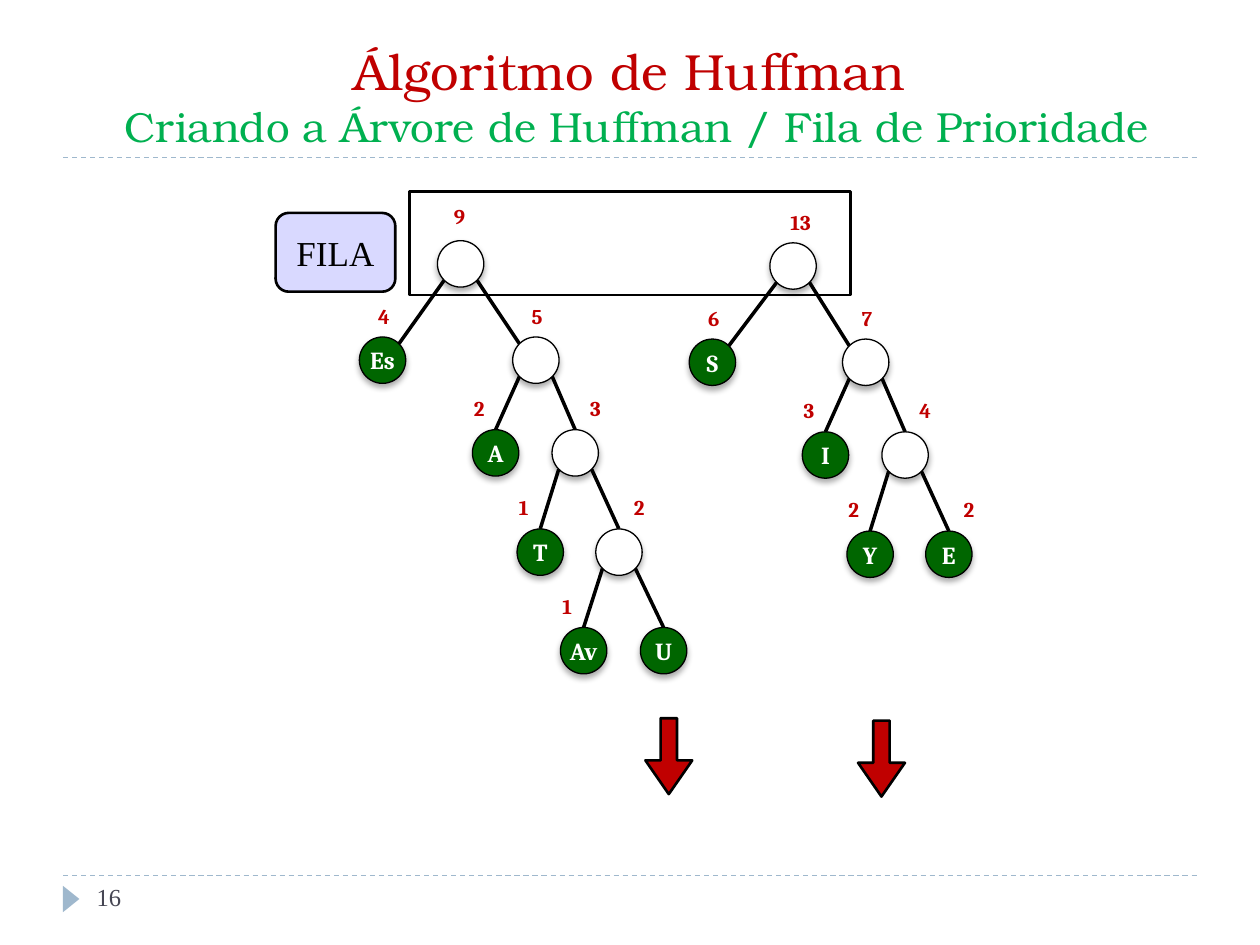
from dataclasses import dataclass
from lxml.etree import SubElement
from pptx import Presentation
from pptx.dml.color import RGBColor as Color
from pptx.enum.dml import MSO_LINE as Dash
from pptx.enum.shapes import MSO_CONNECTOR as Link, MSO_SHAPE as Kind
from pptx.enum.text import MSO_ANCHOR as Anchor, MSO_AUTO_SIZE as Fit, PP_ALIGN as Align
from pptx.oxml.ns import qn
from pptx.util import Pt


@dataclass(frozen=True)
class Theme:
    red: str = "C00000"
    green: str = "00B050"
    leaf: str = "006600"
    white: str = "FFFFFF"
    black: str = "000000"
    queue: str = "0000FF"
    rule: str = "9FB8CD"
    muted: str = "464653"
    title_font: str = "TeX Gyre Bonum"
    tree_font: str = "Cambria"
    plain_font: str = "Times New Roman"
    title_size: float = 29
    subtitle_size: float = 24
    queue_size: float = 20
    node_size: float = 14
    count_size: float = 12


@dataclass(frozen=True)
class Node:
    count: str = ""
    letter: str = ""
    children: tuple = ()


def apply(target, formats):
    for name, value in formats.items():
        setattr(target, name, value)


class Board:
    diameter = 26.5
    diagonal = diameter / 2 * 0.71
    steps = ((0, 0, 55), (-23, 22.5, 53), (-20, 25, 56.7), (-33.5 + 13.3, 25.5, 56.3))

    def __init__(self, slide, theme):
        self.slide, self.theme, self.shapes = slide, theme, slide.shapes

    def frame(self, shape, anchor, inset=(7.2, 3.6)):
        side, edge = map(Pt, inset)
        apply(shape.text_frame, dict(
            word_wrap=True, auto_size=Fit.NONE, vertical_anchor=anchor,
            margin_left=side, margin_right=side, margin_top=edge, margin_bottom=edge))
        return shape.text_frame.paragraphs[0]

    def run(self, paragraph, text, font, size, color, bold=False, align=Align.CENTER):
        paragraph.alignment = align
        run = paragraph.add_run()
        run.text = text
        run.font.color.rgb = Color.from_string(color)
        apply(run.font, dict(name=font, size=Pt(size), bold=bold))
        return run

    def shadow(self, effects, opacity, blur, distance, angle):
        outer = SubElement(effects, qn("a:outerShdw"), blurRad=str(Pt(blur)),
                           dist=str(Pt(distance)), dir=str(angle * 60000),
                           algn="ctr", rotWithShape="0")
        color = SubElement(outer, qn("a:srgbClr"), val=self.theme.black)
        SubElement(color, qn("a:alpha"), val=str(opacity * 1000))

    def title(self, heading, subheading):
        theme, title = self.theme, self.slide.shapes.title
        apply(title, dict(left=Pt(36), top=Pt(18), width=Pt(648), height=Pt(72)))
        paragraph = self.frame(title, Anchor.BOTTOM)
        self.run(paragraph, heading, theme.title_font, theme.title_size, theme.red)
        paragraph.add_line_break()
        self.run(paragraph, subheading, theme.title_font, theme.subtitle_size, theme.green)

    def line(self, start, end, color, width, dash=None):
        line = self.shapes.add_connector(Link.STRAIGHT, *map(Pt, start + end))
        line.line.color.rgb = Color.from_string(color)
        apply(line.line, dict(width=Pt(width), dash_style=dash))
        SubElement(line._element.spPr, qn("a:effectLst"))

    def shape(self, kind, box, fill=None, outline=None, width=1.5, opacity=None):
        shape = self.shapes.add_shape(kind, *map(Pt, box))
        shape.shadow.inherit = False
        if fill:
            shape.fill.solid()
            shape.fill.fore_color.rgb = Color.from_string(fill)
        else:
            shape.fill.background()
        if opacity:
            color = shape._element.spPr.find(".//" + qn("a:srgbClr"))
            SubElement(color, qn("a:alpha"), val=str(opacity * 1000))
        if outline:
            shape.line.color.rgb = Color.from_string(outline)
            shape.line.width = Pt(width)
        else:
            shape.line.fill.background()
        return shape

    def text(self, box, text, font, size, color, bold=False, align=Align.CENTER,
             anchor=Anchor.MIDDLE):
        shape = self.shapes.add_textbox(*map(Pt, box))
        return self.run(self.frame(shape, anchor), text, font, size, color, bold, align)

    def count(self, x, y, text):
        theme = self.theme
        run = self.text((x - 14.75, y - 10.8, 29.5, 21.6), text, theme.tree_font,
                        theme.count_size, theme.red, True)
        properties = run.font._element
        effects = SubElement(properties, qn("a:effectLst"))
        properties.find(qn("a:solidFill")).addnext(effects)
        self.shadow(effects, 43, 3, 3, 45)

    def circle(self, x, y, letter):
        theme, radius = self.theme, self.diameter / 2
        fill = theme.leaf if letter else theme.white
        circle = self.shape(Kind.OVAL, (x - radius, y - radius, self.diameter, self.diameter),
                            fill, theme.black, 0.75)
        self.shadow(circle._element.spPr.find(qn("a:effectLst")), 32, 3.5, 2.2, 90)
        if letter:
            self.run(self.frame(circle, Anchor.MIDDLE, (0, 0)), letter, theme.tree_font,
                     theme.node_size, theme.white, True)

    def branch(self, node, x, y, shift, spread, depth=0):
        self.circle(x, y, node.letter)
        if node.count:
            self.count(x + shift[0], y + shift[1], node.count)
        left, right, drop = self.steps[min(depth, 3)]
        offsets = (left, right) if depth else spread
        for side, offset, child in zip((-1, 1), offsets, node.children):
            child_x, child_y = x + offset, y + drop
            start = (x + side * self.diagonal, y + self.diagonal)
            if depth:
                end = (child_x, child_y - self.diameter / 2)
                child_shift = (-9.4 if side < 0 else 11.5, -25.5)
            else:
                end = (child_x - side * self.diagonal, child_y - self.diagonal)
                child_shift = (0.7, -25.2)
            self.line(start, end, self.theme.black, 2)
            self.branch(child, child_x, child_y, child_shift, spread, depth + 1)

    def tree(self, *arguments):
        self.shapes = self.slide.shapes.add_group_shape().shapes
        self.branch(*arguments)
        self.shapes = self.slide.shapes


presentation = Presentation()
apply(presentation, dict(slide_width=Pt(720), slide_height=Pt(540)))
theme = Theme()
board = Board(presentation.slides.add_slide(presentation.slide_layouts[5]), theme)

for y in (500.4, 90):
    board.line((36, y), (684, y), theme.rule, 0.75, Dash.DASH)
marker = board.shape(Kind.ISOSCELES_TRIANGLE, (33.1, 509, 15.1, 9.4), theme.rule)
marker.rotation = 90
board.title("Álgoritmo de Huffman", " Criando a Árvore de Huffman / Fila de Prioridade")
board.text((48.2, 500.4, 156, 28.8), "16", theme.plain_font, theme.node_size, theme.muted,
           align=Align.LEFT, anchor=Anchor.TOP)

nine = Node("9", children=(
    Node("4", "Es"),
    Node("5", children=(
        Node("2", "A"),
        Node("3", children=(
            Node("1", "T"),
            Node("2", children=(Node("1", "Av"), Node("", "U")))))))))
thirteen = Node("13", children=(
    Node("6", "S"),
    Node("7", children=(
        Node("3", "I"),
        Node("4", children=(Node("2", "Y"), Node("2", "E")))))))
board.tree(nine, 263.2, 150.8, (-0.7, -27), (-44.6, 43))
board.tree(thirteen, 453.2, 152, (4.3, -25.3), (-46.1, 41.5))

for x, y in ((368.8, 410.4), (490.3, 411.8)):
    arrow = board.shape(Kind.DOWN_ARROW, (x, y, 26.8, 43.4), theme.red, theme.black)
    arrow.adjustments[0], arrow.adjustments[1] = 0.35, 0.72
board.shape(Kind.RECTANGLE, (234, 109.4, 252, 59.2), None, theme.black)
queue = board.shape(Kind.FLOWCHART_ALTERNATE_PROCESS, (157.5, 121.7, 68.4, 45),
                    theme.queue, theme.black, opacity=15)
board.run(board.frame(queue, Anchor.MIDDLE), "FILA", theme.plain_font, theme.queue_size,
          theme.black)

presentation.save("out.pptx")
